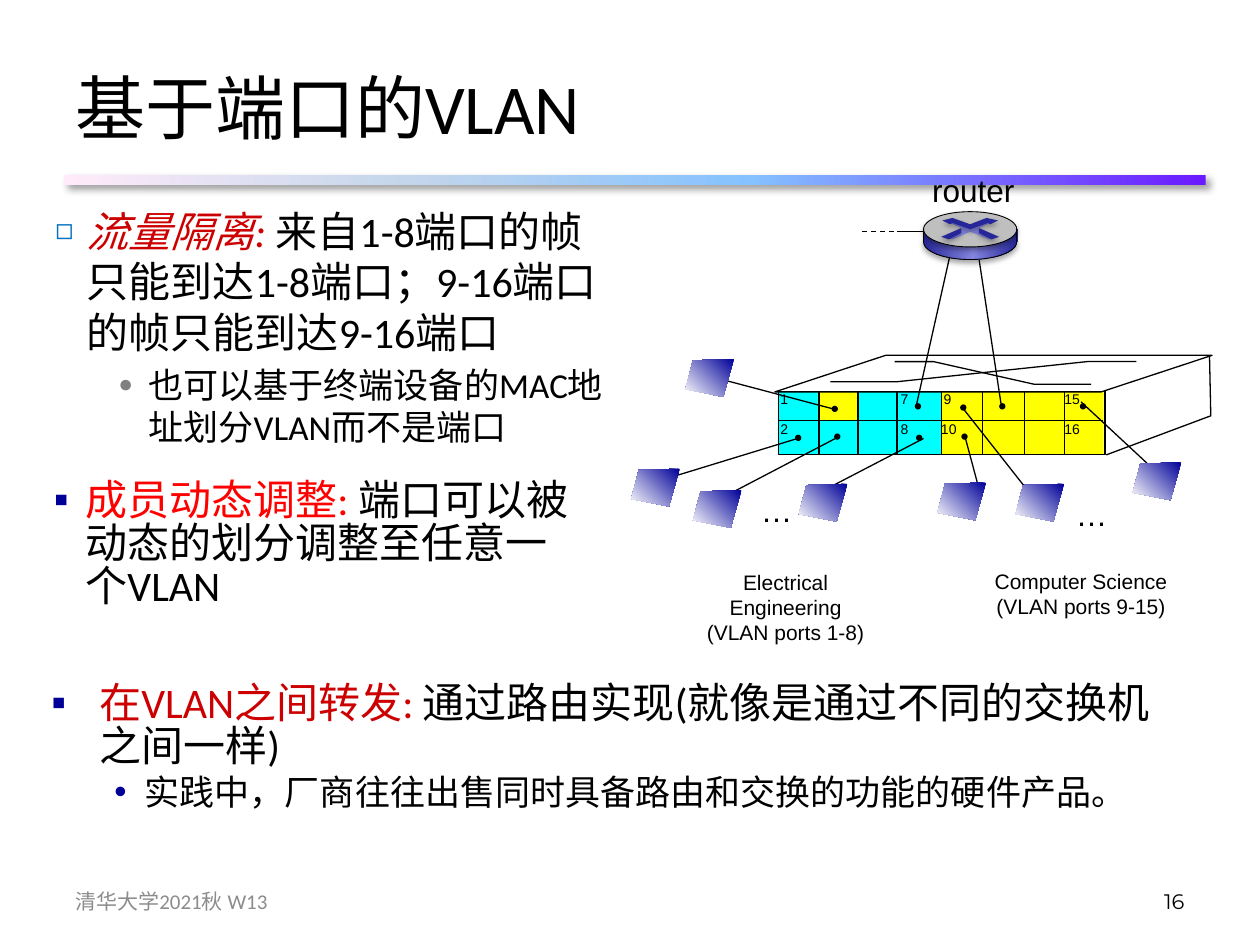
from dataclasses import dataclass

from lxml import etree
from pptx import Presentation
from pptx.dml.color import RGBColor
from pptx.enum.dml import MSO_LINE
from pptx.enum.shapes import MSO_CONNECTOR, MSO_SHAPE
from pptx.enum.text import MSO_ANCHOR, MSO_AUTO_SIZE, PP_ALIGN
from pptx.oxml.ns import qn
from pptx.util import Inches, Pt

RECT, OVAL, SLANT = MSO_SHAPE.RECTANGLE, MSO_SHAPE.OVAL, MSO_SHAPE.PARALLELOGRAM
STRAIGHT, DASH = MSO_CONNECTOR.STRAIGHT, MSO_LINE.DASH
TOP, MIDDLE = MSO_ANCHOR.TOP, MSO_ANCHOR.MIDDLE
LEFT, CENTER, RIGHT = PP_ALIGN.LEFT, PP_ALIGN.CENTER, PP_ALIGN.RIGHT
FIT = MSO_AUTO_SIZE.SHAPE_TO_FIT_TEXT
COLUMNS, ROWS = 100, 75


@dataclass(frozen=True)
class Theme:
    """Colours, fonts and type sizes of the slide."""
    ink: str = "000000"
    paper: str = "FFFFFF"
    muted: str = "8C8C8C"
    key: str = "CC0000"
    alert: str = "FF0000"
    navy: str = "000099"
    sky: str = "0070C0"
    grey: str = "808080"
    cyan: str = "00FFFF"
    yellow: str = "FFFF00"
    steel: str = "BFBFBF"
    indigo: str = "262699"
    lilac: str = "8585E0"
    body: str = "Calibri"
    label: str = "Arial"
    number: str = "Montserrat"
    title: int = 40
    large: int = 24
    medium: int = 20
    tag: int = 18
    small: int = 12
    tiny: int = 8
    thin: float = 0.75
    hair: float = 0.5


THEME = Theme()
RULE_STOPS = ((0, "6B19FF"), (40, "85C2FF"), (70, "C4D6EB"), (100, "FFEBFA"))
HOST_STOPS = ((0, THEME.navy), (100, THEME.paper))
METAL_STOPS = ((0, THEME.indigo), (53, THEME.lilac), (100, THEME.indigo))
RULE_SHADOW = (40, 4, 3, 45)
ROUTER_SHADOW = (35, 3.1, 1.8, 90)


def cells(*values):
    """Turn grid columns or rows into lengths."""
    return [Inches(value * 10 / COLUMNS) for value in values]


def add_shadow(shape, opacity, blur, distance, angle):
    """Give a shape an outer shadow."""
    effects = shape._element.spPr.find(qn("a:effectLst"))
    outer = etree.SubElement(effects, qn("a:outerShdw"), blurRad=str(Pt(blur)),
                             dist=str(Pt(distance)), dir=str(angle * 60000), rotWithShape="0")
    color = etree.SubElement(outer, qn("a:srgbClr"), val=THEME.ink)
    etree.SubElement(color, qn("a:alpha"), val=str(opacity * 1000))


def paint(shape, fill=None, stops=None, angle=0, line=None, shadow=None):
    """Set the fill, outline and shadow of a shape."""
    shape.shadow.inherit = False
    if stops:
        shape.fill.gradient()
        gradient = shape._element.spPr.find(qn("a:gradFill"))
        gradient.find(qn("a:lin")).set("ang", str(angle * 60000))
        stop_list = gradient.find(qn("a:gsLst"))
        for old in list(stop_list):
            stop_list.remove(old)
        for position, color in stops:
            stop = etree.SubElement(stop_list, qn("a:gs"), pos=str(position * 1000))
            etree.SubElement(stop, qn("a:srgbClr"), val=color)
    elif fill:
        shape.fill.solid()
        shape.fill.fore_color.rgb = RGBColor.from_string(fill)
    else:
        shape.fill.background()
    if line:
        shape.line.color.rgb = RGBColor.from_string(THEME.ink)
        shape.line.width = Pt(line)
    else:
        shape.line.fill.background()
    if shadow:
        add_shadow(shape, *shadow)


def add_preset(page, kind, area, **look):
    """Draw a preset shape on the grid."""
    shape = page.shapes.add_shape(kind, *cells(*area))
    paint(shape, **look)
    return shape


def add_outline(page, points, closed=True, **look):
    """Draw a freeform through grid points."""
    corners = [cells(*point) for point in points]
    builder = page.shapes.build_freeform(*corners[0], scale=1.0)
    builder.add_line_segments(corners[1:], close=closed)
    paint(builder.convert_to_shape(), **look)


def add_line(page, start, end, width=THEME.thin, dash=None):
    """Draw a straight line between two grid points."""
    line = page.shapes.add_connector(STRAIGHT, *cells(*start), *cells(*end))
    line.line.color.rgb = RGBColor.from_string(THEME.ink)
    line.line.width = Pt(width)
    if dash:
        line.line.dash_style = dash
    etree.SubElement(line._element.spPr, qn("a:effectLst"))


def add_dot(page, column, row):
    """Mark a port with a dot."""
    add_preset(page, OVAL, (column, row, 0.5, 0.5), fill=THEME.ink)


def add_host(page, column, row):
    """Draw a host computer as a shaded tile."""
    corners = ((3.85, 0), (0.6, 0.1), (0, 2.4), (3, 3))
    add_outline(page, [(column + x, row + y) for x, y in corners], stops=HOST_STOPS, angle=135)


def add_bullet(para, symbol, color, margin, hang, scale=100):
    """Give a paragraph a hanging bullet."""
    settings = para._p.get_or_add_pPr()
    settings.set("marL", str(Inches(margin)))
    settings.set("indent", str(-Inches(hang)))
    paint_element = etree.SubElement(settings, qn("a:buClr"))
    etree.SubElement(paint_element, qn("a:srgbClr"), val=color)
    etree.SubElement(settings, qn("a:buSzPct"), val=str(scale * 1000))
    etree.SubElement(settings, qn("a:buFont"), typeface=THEME.label)
    etree.SubElement(settings, qn("a:buChar"), char=symbol)


def add_span(para, text, size, font=THEME.body, color=THEME.ink, italic=False):
    """Add formatted text to a paragraph."""
    span = para.add_run()
    span.text = text
    span.font.size, span.font.name, span.font.italic = Pt(size), font, italic
    span.font.color.rgb = RGBColor.from_string(color)


def add_text(page, area, text, size, align=LEFT, anchor=TOP, wrap=True, **look):
    """Place a text box with one paragraph for each line of text."""
    box = page.shapes.add_textbox(*cells(*area))
    frame = box.text_frame
    frame.word_wrap, frame.vertical_anchor = wrap, anchor
    if not wrap:
        frame.auto_size = FIT
    for index, line in enumerate(text.split("\n")):
        para = frame.add_paragraph() if index else frame.paragraphs[0]
        para.alignment = align
        add_span(para, line, size, **look)


def add_points(page, area, points, spacing=1.0):
    """Place a bulleted list of (bullet, size, spans) entries."""
    frame = page.shapes.add_textbox(*cells(*area)).text_frame
    frame.word_wrap = True
    for index, (bullet, size, spans) in enumerate(points):
        para = frame.add_paragraph() if index else frame.paragraphs[0]
        add_bullet(para, *bullet)
        para.line_spacing = spacing
        para.space_before = Pt(size * 0.2 if index else 0)
        for text, look in spans:
            add_span(para, text, size, **look)


def add_switch(page):
    """Draw the switch with its coloured, numbered ports."""
    for left, width, color in ((61.8, 3.2, THEME.cyan), (64.9, 9.8, THEME.cyan), (74.7, 12.9, THEME.yellow)):
        add_preset(page, RECT, (left, 31.1, width, 5), fill=color)
    add_preset(page, RECT, (64.9, 31.1, 3.1, 2.3), fill=THEME.yellow)
    add_preset(page, RECT, (61.8, 31, 25.9, 5.1), line=THEME.thin)
    add_line(page, (61.8, 33.4), (87.5, 33.4))
    top = add_preset(page, SLANT, (61.5, 28.2, 34.7, 2.9), fill=THEME.paper, line=THEME.thin)
    top.adjustments[0] = 3.03
    for points in (((87.8, 36.1), (96.1, 33), (96, 28.2)),
                   ((65.9, 30.3), (71.2, 30.3), (86.3, 28.7), (90.2, 28.7)),
                   ((71, 28.7), (74.1, 28.7), (82.1, 30.5), (86.6, 30.5))):
        add_outline(page, points, closed=False, line=THEME.thin)
    for column in (65, 68.1, 71.2, 74.7, 78, 81.3, 84.5):
        add_line(page, (column, 31.1), (column, 36.1))
    for column, odd, even in ((60.95, "1", "2"), (70.5, "7", "8"), (73.9, "9", "10"), (83.5, "15", "16")):
        for row, number in ((30.5, odd), (32.85, even)):
            shift = 0.2 if len(number) > 1 and odd == "9" else 0
            add_text(page, (column - shift, row, 1.9 + 0.7 * len(number), 2.3), number,
                     THEME.tiny, wrap=False, font=THEME.label)


def add_links(page):
    """Connect the hosts and the router to the ports."""
    for start, end in (((63.3, 34.8), (53.5, 37.8)), ((66.5, 34.7), (57.7, 39.3)),
                       ((73.3, 34.8), (65.6, 38.8)), ((76.6, 34.7), (77.7, 38.8)),
                       ((76.5, 32.5), (81.7, 39.1)), ((85.8, 31.9), (91.5, 37.2)),
                       ((66.3, 32.5), (57.6, 30.2)), ((72.7, 32.3), (75.5, 19.8)),
                       ((79.5, 32.4), (77.6, 19.9)), ((71.2, 18.4), (74, 18.4))):
        add_line(page, start, end)
    add_line(page, (68.4, 18.4), (71.1, 18.4), dash=DASH)
    for dot in ((63.1, 34.5), (66.2, 34.4), (72.7, 34.5), (76.3, 34.4), (76.2, 32.1),
                (85.7, 32), (72.6, 32), (79.3, 32), (66, 32.2)):
        add_dot(page, *dot)
    for host in ((50.1, 37.2), (55, 38.9), (63.4, 38.4), (74.4, 38.3), (80.6, 38.4), (89.9, 36.7), (54.4, 28.5)):
        add_host(page, *host)


def add_router(page):
    """Draw the router as a disc with a crossed emblem."""
    add_preset(page, OVAL, (73.3, 17.8, 7.4, 2.8), stops=METAL_STOPS, line=THEME.hair, shadow=ROUTER_SHADOW)
    add_preset(page, RECT, (73.3, 18.2, 7.5, 1), stops=METAL_STOPS, angle=180)
    add_preset(page, OVAL, (73.3, 16.8, 7.4, 2.8), fill=THEME.steel, line=THEME.hair, shadow=ROUTER_SHADOW)
    cross = ((77, 18.4), (75.6, 19), (75.2, 18.9), (76.3, 18.5), (76.3, 18.1), (75.4, 17.7), (75.7, 17.7),
             (77, 18.2), (78.3, 17.6), (78.6, 17.7), (77.7, 18.1), (77.9, 18.6), (78.8, 18.9), (78.5, 19))
    add_outline(page, cross, fill=THEME.lilac)
    chevron = ((74.8, 17.5), (75.6, 17.3), (77, 17.8), (78.3, 17.3), (79.2, 17.5), (78.6, 17.8),
               (78.4, 17.7), (77, 18.2), (75.6, 17.7), (75.4, 17.8))
    arm = ((77.7, 18.1), (79.3, 18.8), (78.7, 19), (77.7, 18.5))
    for points in (chevron, arm, [(154 - x, y) for x, y in arm]):
        add_outline(page, points, fill=THEME.indigo, shadow=ROUTER_SHADOW)
    for column in (73.3, 80.7):
        add_line(page, (column, 18.2), (column, 19.3), THEME.hair)


def add_words(page):
    """Place the title, the bullet lists, the labels and the footer."""
    add_text(page, (5, 3, 90, 10.9), "基于端口的VLAN", THEME.title, anchor=MIDDLE)
    key, square = {"color": THEME.key}, ("▪", THEME.navy)
    add_points(page, (3.4, 15.8, 46.5, 19.3), (
        (("◻", THEME.sky, 0.25, 0.25, 70), THEME.large,
         (("流量隔离: ", {**key, "italic": True}), ("来自1-8端口的帧只能到达1-8端口；9-16端口的帧只能到达9-16端口", {}))),
        (("●", THEME.grey, 0.74, 0.24, 70), THEME.medium, (("也可以基于终端设备的MAC地址划分VLAN而不是端口", {}),))))
    add_points(page, (3.3, 37.7, 44.4, 17.6), (
        ((*square, 0.25, 0.25), THEME.large,
         (("成员动态调整: ", {"color": THEME.alert}), ("端口可以被动态的划分调整至任意一个VLAN", {}))),), 0.85)
    add_points(page, (3.1, 53.8, 90.9, 17.6), (
        ((*square, 0.38, 0.38), THEME.large,
         (("在VLAN之间转发: ", key), ("通过路由实现(就像是通过不同的交换机之间一样)", {}))),
        (("•", THEME.navy, 0.74, 0.24), THEME.medium,
         (("实践中，厂商往往出售同时具备路由和交换的功能的硬件产品。", {}),))), 0.85)
    for area, text in (((73, 13.1, 8.6, 4), "router"), ((59.4, 38.5, 4.5, 4), "…"), ((84.4, 38.8, 4.5, 4), "…")):
        add_text(page, area, text, THEME.tag, wrap=False, font=THEME.label)
    for area, text in (((54.6, 44.7, 15.5, 7), "Electrical Engineering\n(VLAN ports 1-8)"),
                       ((76.8, 44.6, 18, 5), "Computer Science\n(VLAN ports 9-15)")):
        add_text(page, area, text, THEME.small, align=CENTER, font=THEME.label)
    add_text(page, (5, 69.5, 23.3, 4), "清华大学2021秋 W13", THEME.small, anchor=MIDDLE, color=THEME.muted)
    add_text(page, (71.7, 69.5, 23.3, 4), "16", THEME.small, align=RIGHT, anchor=MIDDLE, font=THEME.number)


def main():
    """Build the slide and save the deck."""
    deck = Presentation()
    deck.slide_width, deck.slide_height = cells(COLUMNS, ROWS)
    page = deck.slides.add_slide(deck.slide_layouts[6])
    add_preset(page, RECT, (5.1, 13.9, 90.6, 0.8), stops=RULE_STOPS, angle=180, shadow=RULE_SHADOW)
    add_switch(page)
    add_links(page)
    add_router(page)
    add_words(page)
    deck.save("out.pptx")


if __name__ == "__main__":
    main()
